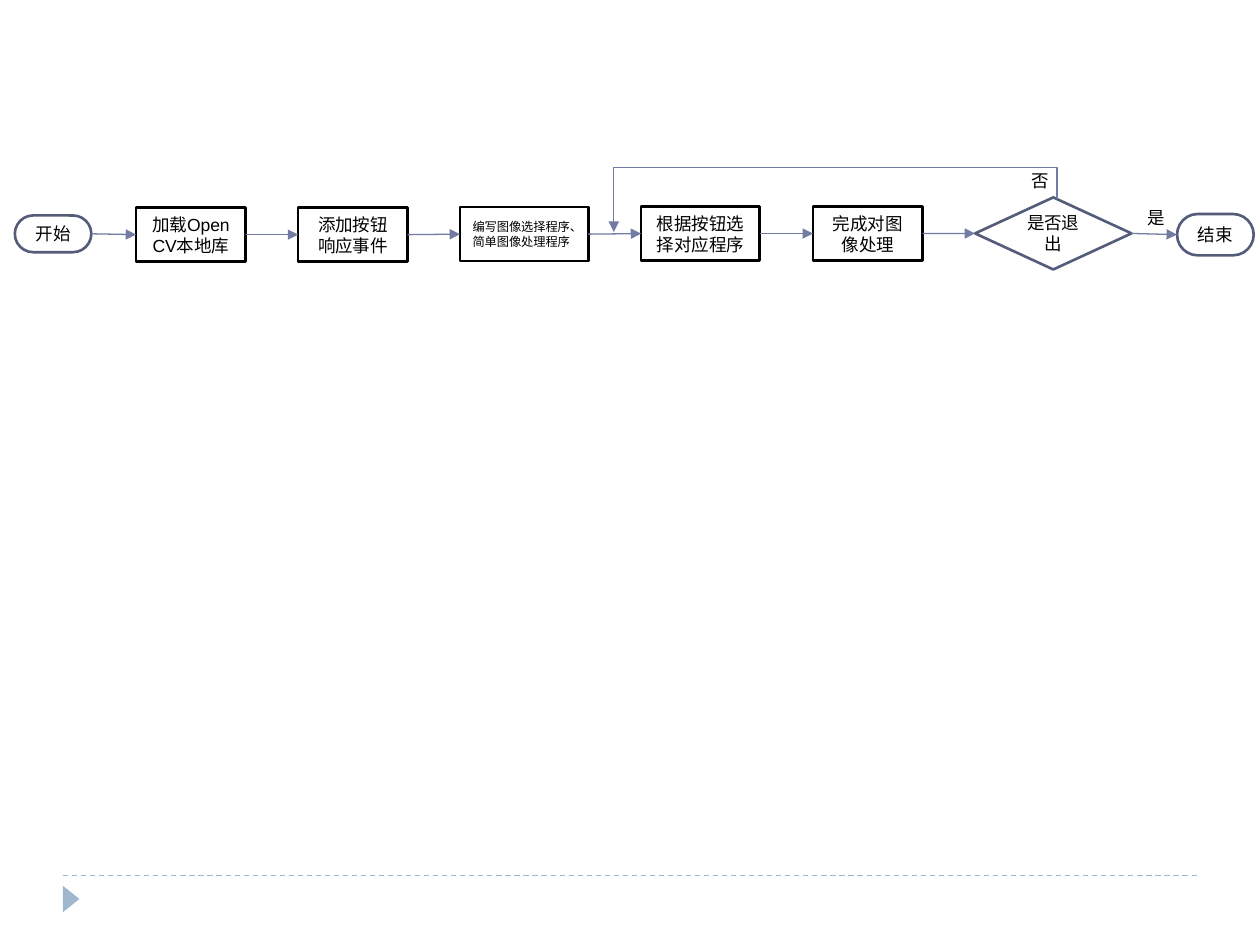
import itertools

import pptx
import pptx.dml.color
import pptx.enum.dml
import pptx.enum.shapes
import pptx.enum.text
import pptx.oxml.ns
import pptx.util
from lxml import etree

Pt = pptx.util.Pt
SHAPE = pptx.enum.shapes.MSO_SHAPE
ALIGN = pptx.enum.text.PP_ALIGN
ANCHOR = pptx.enum.text.MSO_ANCHOR

COLORS = {
    "text": "000000",
    "process": "000000",
    "terminal": "545C79",
    "arrow": "727CA3",
    "footer": "9FB8CD",
}
FONT = {"name": "Arial"}
TOP, LEFT, RIGHT = 0, 1, 3  # connection sites

# kind, left, top, width, height, text, text size, alignment
STEPS = [
    ("terminal", 8.5, 123.1, 43.7, 21, "开始", 10, ALIGN.CENTER),
    ("process", 77.8, 118.6, 62.6, 31, "加载Open\nCV本地库", 10, ALIGN.CENTER),
    ("process", 170.4, 118.6, 62.6, 31, "添加按钮响应事件", 10, ALIGN.CENTER),
    ("process", 262.9, 118.3, 73.4, 31, "编写图像选择程序、\n简单图像处理程序", 7, ALIGN.LEFT),
    ("process", 366.4, 118, 67.7, 31, "根据按钮选择对应程序", 10, ALIGN.CENTER),
    ("process", 464.6, 118, 62.6, 31, "完成对图像处理", 10, ALIGN.CENTER),
    ("decision", 557.2, 112.8, 89.4, 41.2, "是否退出", 10, ALIGN.CENTER),
    ("terminal", 672.6, 122.3, 43.8, 23.6, "结束", 10, ALIGN.CENTER),
]
OUTLINES = {
    "process": (SHAPE.RECTANGLE, "process"),
    "terminal": (SHAPE.ROUNDED_RECTANGLE, "terminal"),
    "decision": (SHAPE.DIAMOND, "terminal"),
}
BRANCH_LABELS = [("是", 648.7, 114.5), ("否", 582.5, 93.6)]
RETURN_ROUTE = [(604, 113.5), (604, 95.8), (350.8, 95.8), (350.8, 132.5)]


def color(name):
    return pptx.dml.color.RGBColor.from_string(COLORS[name])


def set_line(item, color_name, width):
    item.line.color.rgb = color(color_name)
    item.line.width = Pt(width)


def add_arrowhead(item):
    etree.SubElement(item.line._get_or_add_ln(),
                     pptx.oxml.ns.qn("a:tailEnd"), type="triangle")


def write_text(frame, text, size, alignment):
    frame.word_wrap = True
    frame.text = text
    for paragraph in frame.paragraphs:
        paragraph.alignment = alignment
        for attribute, value in {**FONT, "size": Pt(size)}.items():
            setattr(paragraph.font, attribute, value)
        paragraph.font.color.rgb = color("text")


def add_step(slide, kind, left, top, width, height, text, size, alignment):
    outline, line_color = OUTLINES[kind]
    step = slide.shapes.add_shape(outline, Pt(left), Pt(top), Pt(width), Pt(height))
    step.shadow.inherit = False
    step.fill.background()
    set_line(step, line_color, 1.5)
    if kind == "terminal":
        step.adjustments[0] = 0.5
    step.text_frame.vertical_anchor = ANCHOR.MIDDLE
    write_text(step.text_frame, text, size, alignment)
    return step


def add_straight(slide, start, end, color_name):
    straight = slide.shapes.add_connector(
        pptx.enum.shapes.MSO_CONNECTOR.STRAIGHT, *map(Pt, start + end))
    set_line(straight, color_name, 0.75)
    etree.SubElement(straight._element.spPr, pptx.oxml.ns.qn("a:effectLst"))
    return straight


def link_steps(slide, source, target):
    arrow = add_straight(slide, (0, 0), (0, 0), "arrow")
    arrow.begin_connect(source, RIGHT)
    arrow.end_connect(target, LEFT)
    add_arrowhead(arrow)


def add_return_arrow(slide, route):
    """Draw the loop from the decision back to the program choice."""
    points = [(Pt(x), Pt(y)) for x, y in route]
    builder = slide.shapes.build_freeform(*points[0])
    builder.add_line_segments(points[1:], close=False)
    loop = builder.convert_to_shape()
    loop.shadow.inherit = False
    loop.fill.background()
    set_line(loop, "arrow", 0.75)
    add_arrowhead(loop)


def add_branch_label(slide, text, left, top):
    label = slide.shapes.add_textbox(Pt(left), Pt(top), Pt(24), Pt(19.4))
    write_text(label.text_frame, text, 10, ALIGN.LEFT)


def add_footer(slide):
    rule = add_straight(slide, (36, 500.4), (684, 500.4), "footer")
    rule.line.dash_style = pptx.enum.dml.MSO_LINE.DASH
    marker = slide.shapes.add_shape(
        SHAPE.ISOSCELES_TRIANGLE, Pt(33.1), Pt(509), Pt(15.1), Pt(9.4))
    marker.rotation = 90
    marker.shadow.inherit = False
    marker.fill.solid()
    marker.fill.fore_color.rgb = color("footer")
    marker.line.fill.background()


def main():
    deck = pptx.Presentation()
    deck.slide_width, deck.slide_height = Pt(720), Pt(540)
    slide = deck.slides.add_slide(deck.slide_layouts[6])
    add_footer(slide)
    steps = [add_step(slide, *step) for step in STEPS]
    for label in BRANCH_LABELS:
        add_branch_label(slide, *label)
    add_return_arrow(slide, RETURN_ROUTE)
    for source, target in itertools.pairwise(steps):
        link_steps(slide, source, target)
    deck.save("out.pptx")


if __name__ == "__main__":
    main()
